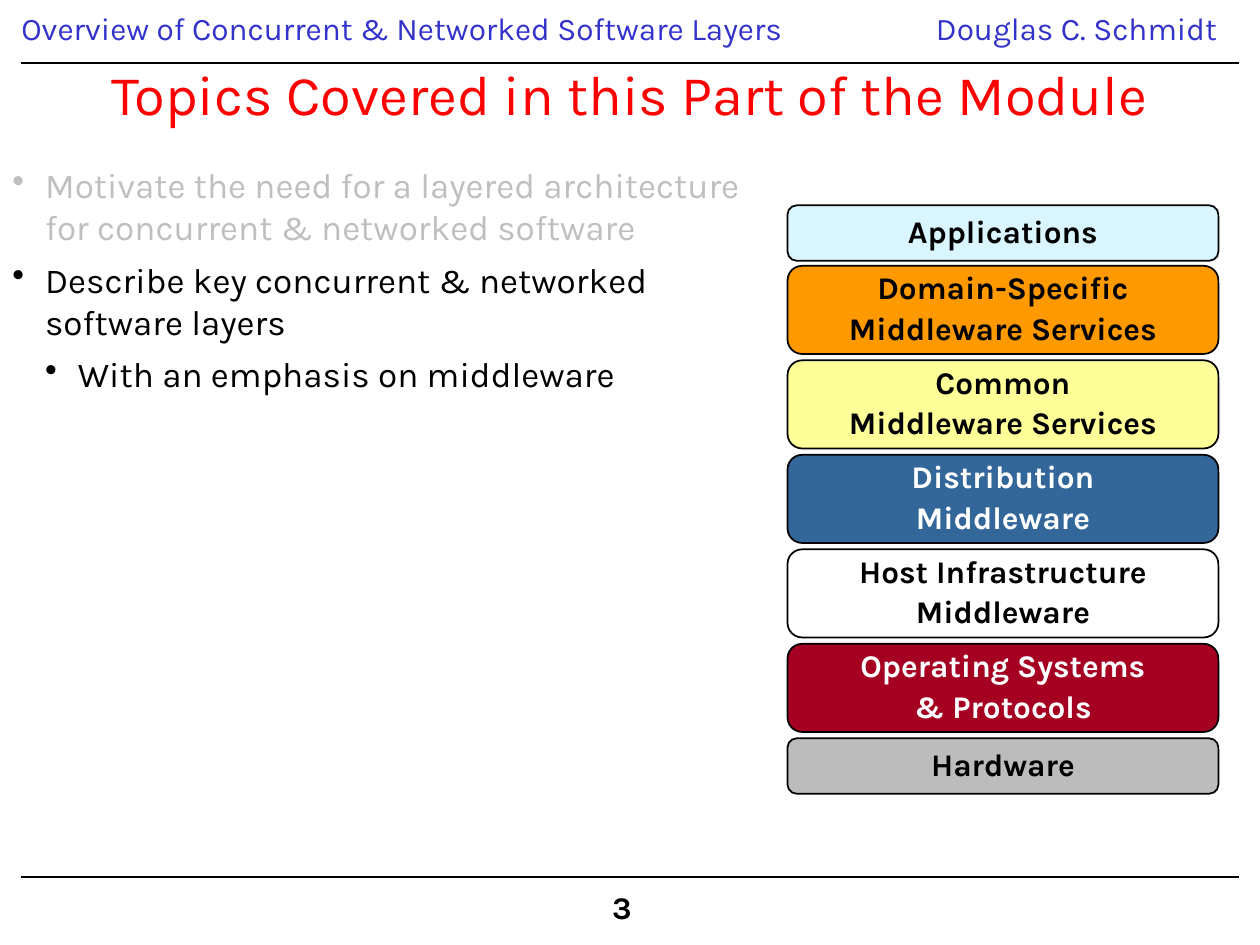
from pptx import Presentation
from pptx.dml.color import RGBColor as RGB
from pptx.enum.shapes import MSO_CONNECTOR as CONN, MSO_SHAPE as SHAPE
from pptx.enum.text import MSO_ANCHOR as ANCHOR, PP_ALIGN as ALIGN
from pptx.oxml.ns import qn
from pptx.util import Inches, Pt
from lxml.etree import SubElement

FONT = "Karla"
COLORS = {
    "ink": "000000", "paper": "FFFFFF", "head": "3333CC", "title": "FF0000",
    "faded": "BFBFBF", "sky": "D9F6FF", "orange": "FF9900", "yellow": "FFFF99",
    "blue": "336699", "red": "A50021", "gray": "BCBCBC",
}
TITLE = "Topics Covered in this Part of the Module"
HEADS = [
    ("Overview of Concurrent & Networked Software Layers", 0.17, 6.25, 0),
    ("Douglas C. Schmidt", 7.33, 2.51, 0.1),
]
TOPICS = [
    ("Motivate the need for a layered architecture for concurrent & networked software", 1, "faded"),
    ("Describe key concurrent & networked software layers", 1, "ink"),
    ("With an emphasis on middleware", 2, "ink"),
]
LAYERS = [
    (["Applications"], "sky", "ink"),
    (["Domain-Specific", "Middleware Services"], "orange", "ink"),
    (["Common", "Middleware Services"], "yellow", "ink"),
    (["Distribution", "Middleware"], "blue", "paper"),
    (["Host Infrastructure", "Middleware"], "paper", "ink"),
    (["Operating Systems", "& Protocols"], "red", "paper"),
    (["Hardware"], "gray", "ink"),
]
EDGE, WIDE = 0.17, 9.66
RULES = (0.5, 6.96)
STACK = {"left": 6.25, "top": 1.63, "width": 3.42}
ROWS = {1: (0.44, 0.48), 2: (0.7, 0.75)}
INDENT = 0.26
TIGHT = {"line_spacing": 0.9, "space_before": Pt(3.6)}


def color(name):
    return RGB.from_string(COLORS[name])


def assign(target, values):
    for key, value in values.items():
        setattr(target, key, value)


def write(frame, lines, size, ink, bold=False, form=TIGHT, **more):
    for i, line in enumerate(lines):
        para = frame.paragraphs[0] if i == 0 else frame.add_paragraph()
        assign(para, {**form, **more})
        if i == 0:
            para.space_before = Pt(0)
        run = para.add_run()
        run.text = line
        assign(run.font, {"name": FONT, "size": Pt(size), "bold": bold})
        run.font.color.rgb = color(ink)


def add_box(slide, left, top, width, height, side=0.1, wrap=True):
    box = slide.shapes.add_textbox(*map(Inches, (left, top, width, height)))
    frame = box.text_frame
    assign(frame, {"word_wrap": wrap, "margin_left": Inches(side), "margin_right": Inches(side)})
    return frame


def add_rule(slide, y):
    rule = slide.shapes.add_connector(
        CONN.STRAIGHT, *map(Inches, (EDGE, y, EDGE + WIDE, y)))
    rule.line.width = Pt(0.75)
    rule.line.color.rgb = color("ink")
    SubElement(rule._element.spPr, qn("a:effectLst"))


def add_topics(slide):
    frame = add_box(slide, 0, 1.25, 6.03, 5.94)
    for i, (text, level, ink) in enumerate(TOPICS):
        para = frame.paragraphs[0] if i == 0 else frame.add_paragraph()
        props = para._p.get_or_add_pPr()
        props.set("marL", str(Inches(INDENT * level)))
        props.set("indent", str(-Inches(INDENT)))
        SubElement(props, qn("a:buChar")).set("char", "•")
        para.space_before = Pt(6 if i else 0)
        run = para.add_run()
        run.text = text
        assign(run.font, {"name": FONT, "size": Pt(20)})
        run.font.color.rgb = color(ink)


def add_stack(slide):
    top = STACK["top"]
    for lines, fill, ink in LAYERS:
        height, pitch = ROWS[len(lines)]
        layer = slide.shapes.add_shape(
            SHAPE.ROUNDED_RECTANGLE,
            *map(Inches, (STACK["left"], top, STACK["width"], height)))
        layer.shadow.inherit = False
        layer.fill.solid()
        layer.fill.fore_color.rgb = color(fill)
        layer.line.color.rgb = color("ink")
        layer.line.width = Pt(1)
        assign(layer.text_frame, {
            "word_wrap": True, "vertical_anchor": ANCHOR.MIDDLE,
            "margin_top": 0, "margin_bottom": 0})
        write(layer.text_frame, lines, 18, ink, True, alignment=ALIGN.CENTER)
        top += pitch


def main():
    deck = Presentation()
    assign(deck, {"slide_width": Inches(10), "slide_height": Inches(7.5)})
    slide = deck.slides.add_slide(deck.slide_layouts[6])
    for text, left, width, side in HEADS:
        write(add_box(slide, left, 0.06, width, 0.4, side), [text], 18, "head")
    for y in RULES:
        add_rule(slide, y)
    write(add_box(slide, 4.76, 7.03, 0.51, 0.4, wrap=False), ["3"], 18, "ink", True)
    title = add_box(slide, EDGE, 0.53, WIDE, 0.42)
    title.vertical_anchor = ANCHOR.MIDDLE
    write(title, [TITLE], 32, "title", form={}, alignment=ALIGN.CENTER)
    add_topics(slide)
    add_stack(slide)
    deck.save("out.pptx")


if __name__ == "__main__":
    main()
